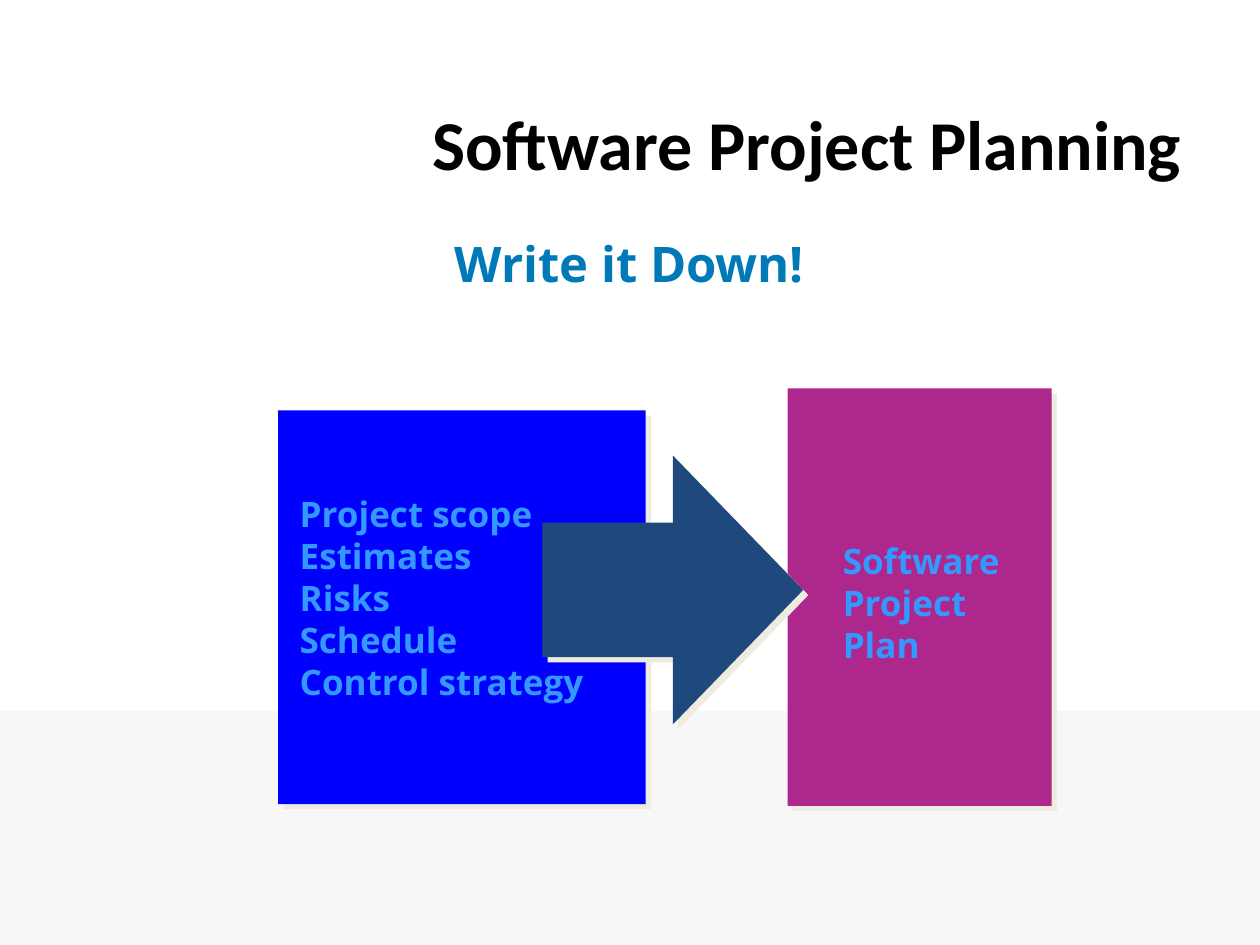
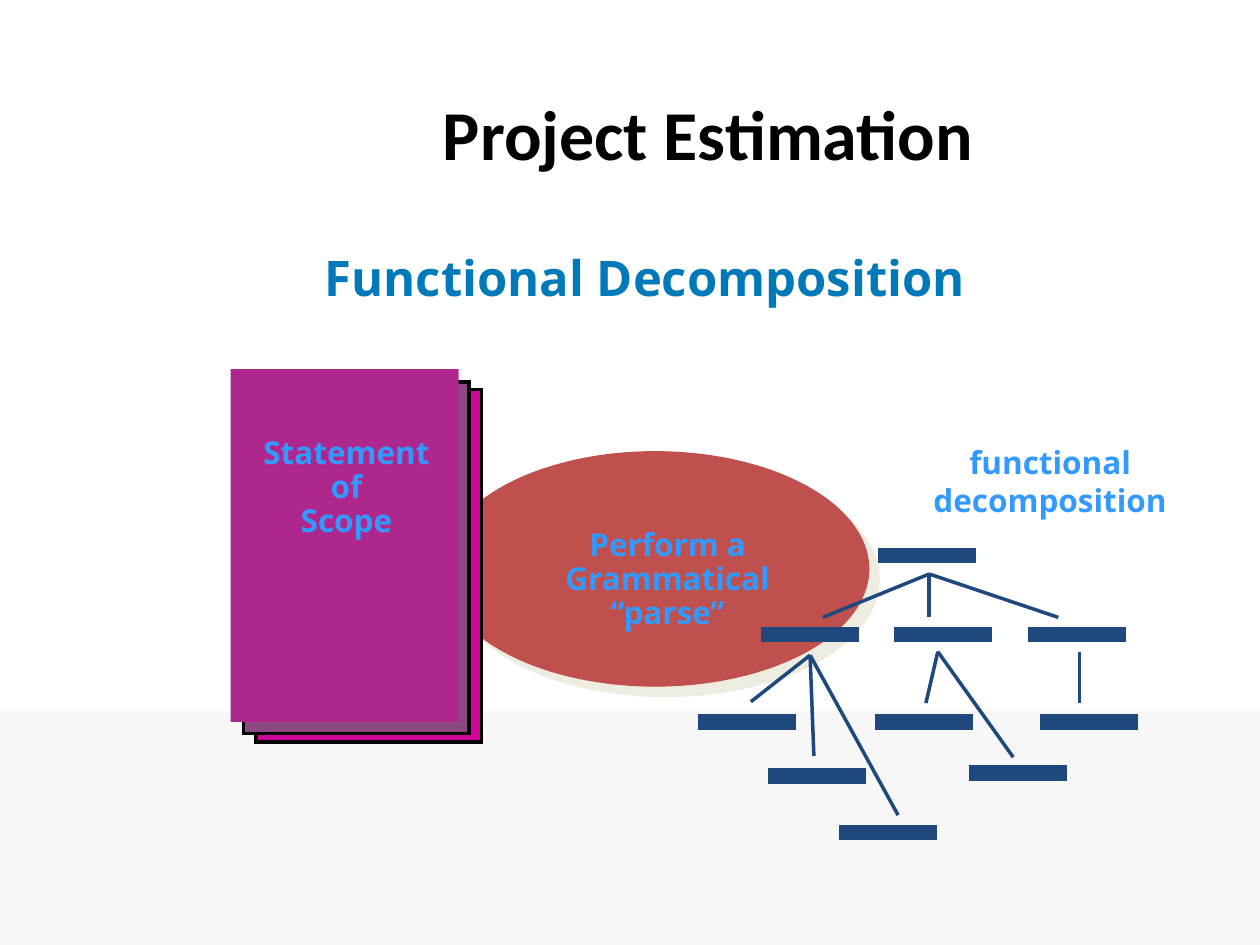
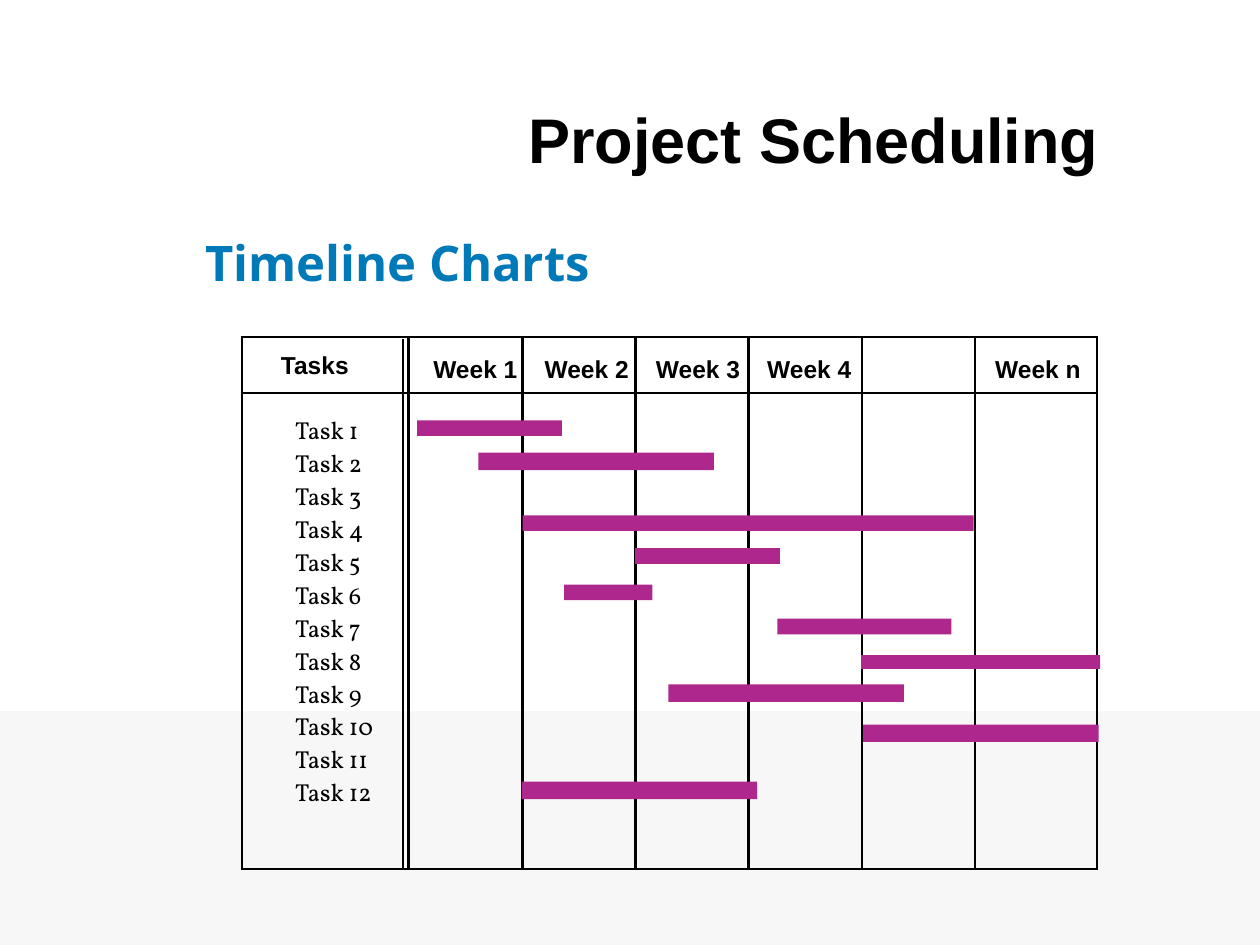
from dataclasses import dataclass
from typing import Optional

from lxml.etree import SubElement
from pptx import Presentation
from pptx.dml.color import RGBColor
from pptx.enum.shapes import MSO_CONNECTOR as Connector, MSO_SHAPE as Preset
from pptx.enum.text import MSO_ANCHOR as Anchor, MSO_AUTO_SIZE as AutoSize, PP_ALIGN as Align
from pptx.oxml.ns import qn
from pptx.util import Pt

TITLE_ONLY = 5


@dataclass(frozen=True)
class TextStyle:
    font: str
    size: float
    color: str
    bold: bool = True
    spacing: float = 1.0


@dataclass(frozen=True)
class Theme:
    band: str = "F7F7F7"
    shadow: str = "EEECE1"
    black: str = "000000"
    navy: str = "1F497D"
    purple: str = "AD278D"
    blue: str = "0000FF"
    red: str = "C0504D"
    mauve: str = "8C4881"
    magenta: str = "D1039B"
    topic: TextStyle = TextStyle("Calibri", 40, "000000")
    schedule_topic: TextStyle = TextStyle("Arial", 36, "000000")
    title: TextStyle = TextStyle("Open Sans", 28, "0079B8")
    label: TextStyle = TextStyle("Open Sans", 20, "3399FF")
    small_label: TextStyle = TextStyle("Open Sans", 18, "3399FF")
    tight_label: TextStyle = TextStyle("Open Sans", 18, "3399FF", spacing=0.9)
    header: TextStyle = TextStyle("Arial", 14, "000000", spacing=0.9)
    task: TextStyle = TextStyle("Vollkorn", 14, "000000", bold=False, spacing=0.9)


THEME = Theme()


@dataclass(frozen=True)
class Area:
    left: float
    top: float
    width: float
    height: float

    def lengths(self) -> tuple:
        return Pt(self.left), Pt(self.top), Pt(self.width), Pt(self.height)


@dataclass(frozen=True)
class Block:
    area: Area
    fill: Optional[str] = None
    line: Optional[str] = None
    line_width: float = 1
    shadow: float = 0
    preset: Preset = Preset.RECTANGLE


@dataclass(frozen=True)
class Label:
    text: str
    area: Area
    style: TextStyle
    align: Align = Align.LEFT
    wrap: bool = False


@dataclass(frozen=True)
class Fan:
    start: tuple
    ends: tuple


@dataclass(frozen=True)
class Heading:
    topic: Label
    title: Label


# Shared drawing functions

def rgb(color: str) -> RGBColor:
    return RGBColor.from_string(color)


def format_text(frame, text: str, style: TextStyle, align: Align) -> None:
    frame.text = text
    for para in frame.paragraphs:
        para.alignment = align
        para.line_spacing = style.spacing
        for span in para.runs:
            span.font.name = style.font
            span.font.size = Pt(style.size)
            span.font.bold = style.bold
            span.font.color.rgb = rgb(style.color)


def draw_label(page, label: Label) -> None:
    frame = page.shapes.add_textbox(*label.area.lengths()).text_frame
    format_text(frame, label.text, label.style, label.align)
    frame.word_wrap = label.wrap
    frame.auto_size = AutoSize.SHAPE_TO_FIT_TEXT


def draw_block(page, block: Block) -> None:
    shape = page.shapes.add_shape(block.preset, *block.area.lengths())
    properties = shape._element.spPr
    if block.fill:
        shape.fill.solid()
        shape.fill.fore_color.rgb = rgb(block.fill)
    else:
        shape.fill.background()
    if block.line:
        shape.line.color.rgb = rgb(block.line)
        shape.line.width = Pt(block.line_width)
        SubElement(properties.find(qn("a:ln")), qn("a:miter"), lim="800000")
    else:
        shape.line.fill.background()
    shape.shadow.inherit = False
    if block.shadow:
        effects = properties.find(qn("a:effectLst"))
        shadow = SubElement(effects, qn("a:outerShdw"), dist=str(int(Pt(block.shadow))),
                            dir=str(45 * 60000), algn="ctr", rotWithShape="0")
        SubElement(shadow, qn("a:srgbClr"), val=THEME.shadow)


def draw_line(page, start: tuple, end: tuple, color: str, width: float) -> None:
    line = page.shapes.add_connector(Connector.STRAIGHT, *(Pt(value) for value in start + end))
    line.line.color.rgb = rgb(color)
    line.line.width = Pt(width)
    SubElement(line._element.spPr, qn("a:effectLst"))


def add_page(deck, heading: Heading):
    page = deck.slides.add_slide(deck.slide_layouts[TITLE_ONLY])
    draw_block(page, Block(Area(0, 406.3, 720, 133.7), THEME.band))
    draw_label(page, heading.topic)
    title = page.shapes.title
    title.left, title.top, title.width, title.height = heading.title.area.lengths()
    frame = title.text_frame
    format_text(frame, heading.title.text, heading.title.style, heading.title.align)
    frame.vertical_anchor = Anchor.MIDDLE
    frame.auto_size = AutoSize.NONE
    return page


# Slide 1: planning inputs lead to the plan

def add_planning(deck) -> None:
    page = add_page(deck, Heading(
        Label("Software Project Planning", Area(240, 54, 462, 55.4), THEME.topic, wrap=True),
        Label("Write it Down!", Area(112.3, 125.6, 494.6, 49.7), THEME.title, Align.CENTER)))
    draw_block(page, Block(Area(450, 222, 151, 238.5), THEME.purple, shadow=4.2))
    draw_label(page, Label("Software\nProject\nPlan", Area(474.5, 305, 104.4, 79.2), THEME.label))
    draw_block(page, Block(Area(159, 234.5, 210, 225), THEME.blue, shadow=4.2))
    draw_label(page, Label("Project scope\nEstimates\nRisks\nSchedule\nControl strategy",
                           Area(164.2, 278, 177, 126.7), THEME.label))
    draw_block(page, Block(Area(310, 260.3, 149, 153.7), THEME.navy, shadow=4.2,
                           preset=Preset.RIGHT_ARROW))


# Slide 2: scope statement is broken down into a tree of functions

SCOPE_SHEETS = (
    Block(Area(146.2, 222.5, 129, 201.6), THEME.magenta, THEME.black, 2),
    Block(Area(139, 218.2, 129, 201), THEME.mauve, THEME.black, 2),
    Block(Area(131.8, 211, 130.3, 201.6), THEME.purple),
)

# Row top and the left edges of its nodes
TREE_ROWS = (
    (313.6, (502.2,)),
    (358.7, (435.3, 511.2, 588.2)),
    (408.6, (399.3, 500.4, 594.7)),
    (437.8, (554.4,)),
    (439.6, (439.2,)),
    (471.8, (480.2,)),
)

TREE_FANS = (
    Fan((531, 328), ((470.2, 352.8), (531, 352.8), (604.8, 352.8))),
    Fan((462.9, 374.4), ((429.1, 401), (465.1, 432), (513.2, 465.8))),
    Fan((535.9, 372.4), ((529.1, 401.8), (579, 432.7))),
    Fan((617, 372.4), ((617, 401.8),)),
)


def add_estimation(deck) -> None:
    page = add_page(deck, Heading(
        Label("Project Estimation", Area(246, 48.2, 438, 55.4), THEME.topic, wrap=True),
        Label("Functional Decomposition", Area(96.2, 132.5, 544.3, 51), THEME.title, Align.CENTER)))
    draw_block(page, Block(Area(252, 257.8, 244.8, 134.6), THEME.red, shadow=8.5,
                           preset=Preset.OVAL))
    for sheet in SCOPE_SHEETS:
        draw_block(page, sheet)
    for top, lefts in TREE_ROWS:
        for left in lefts:
            draw_block(page, Block(Area(left, top, 55, 7.9), THEME.navy, THEME.navy))
    for fan in TREE_FANS:
        for end in fan.ends:
            draw_line(page, fan.start, end, THEME.navy, 2)
    for label in (
        Label("functional\ndecomposition", Area(526.3, 249.8, 147.6, 50.4),
              THEME.small_label, Align.CENTER),
        Label("Statement\nof\nScope", Area(143.3, 246.2, 109.4, 65.5),
              THEME.tight_label, Align.CENTER),
        Label("Perform a Grammatical “parse”", Area(282.2, 298.8, 198.7, 65.5),
              THEME.tight_label, Align.CENTER, wrap=True),
    ):
        draw_label(page, label)


# Slide 3: timeline of tasks by week

GRID = Area(138.4, 192.4, 488.4, 304.3)
HEADER_HEIGHT = 32.4
TASK_WIDTH = 95
WEEK_LEFT, WEEK_PITCH, WEEK_WIDTH, WEEK_FRAMES = 234, 64.7, 64.2, 5
WEEK_LABEL_LEFT, WEEK_LABEL_PITCH, WEEK_LABEL_WIDTH = 240.5, 63.6, 65
TASK_COUNT, TASK_TOP, TASK_PITCH = 12, 235.7, 18.8

TASK_BARS = (
    Area(238.3, 240.2, 82.8, 8.9),
    Area(273.4, 258.7, 134.6, 10),
    Area(298.6, 294.5, 257.8, 8.9),
    Area(362.9, 313.3, 82.8, 8.9),
    Area(322.4, 334.1, 50.4, 8.9),
    Area(444.2, 353.6, 99.4, 8.9),
    Area(492, 374.4, 136.6, 7.8),
    Area(382, 391.1, 134.6, 10),
    Area(493.2, 414, 134.6, 10),
    Area(298.1, 446.6, 134.6, 10),
)


def add_schedule(deck) -> None:
    page = add_page(deck, Heading(
        Label("Project Scheduling", Area(246, 54, 438, 50.4), THEME.schedule_topic,
              Align.CENTER, wrap=True),
        Label("Timeline Charts", Area(110, 124.6, 528, 49.7), THEME.title)))

    # Grid
    frames = [GRID,
              Area(GRID.left, GRID.top, GRID.width, HEADER_HEIGHT),
              Area(GRID.left, GRID.top, TASK_WIDTH, GRID.height)]
    frames += [Area(WEEK_LEFT + week * WEEK_PITCH, GRID.top, WEEK_WIDTH, GRID.height)
               for week in range(WEEK_FRAMES)]
    for area in frames:
        draw_block(page, Block(area, line=THEME.black))
    draw_line(page, (230.4, 193.7), (230.4, 496.7), THEME.black, 1)

    # Column headings and task names
    headers = [("Tasks", Area(153.4, 198.3, 54, 22.3)),
               ("Week n", Area(561.6, 200.6, WEEK_LABEL_WIDTH, 22.3))]
    headers += [(f"Week {week + 1}", Area(WEEK_LABEL_LEFT + week * WEEK_LABEL_PITCH, 200.6,
                                          WEEK_LABEL_WIDTH, 22.3))
                for week in range(4)]
    for text, area in headers:
        draw_label(page, Label(text, area, THEME.header))
    for task in range(TASK_COUNT):
        width = 54 if task < 9 else 61.2
        area = Area(161.5, TASK_TOP + task * TASK_PITCH, width, 22.3)
        draw_label(page, Label(f"Task {task + 1}", area, THEME.task))

    # Bars
    for area in TASK_BARS:
        draw_block(page, Block(area, THEME.purple))


def main() -> None:
    deck = Presentation()
    deck.slide_width, deck.slide_height = Pt(720), Pt(540)
    add_planning(deck)
    add_estimation(deck)
    add_schedule(deck)
    deck.save("out.pptx")


if __name__ == "__main__":
    main()
